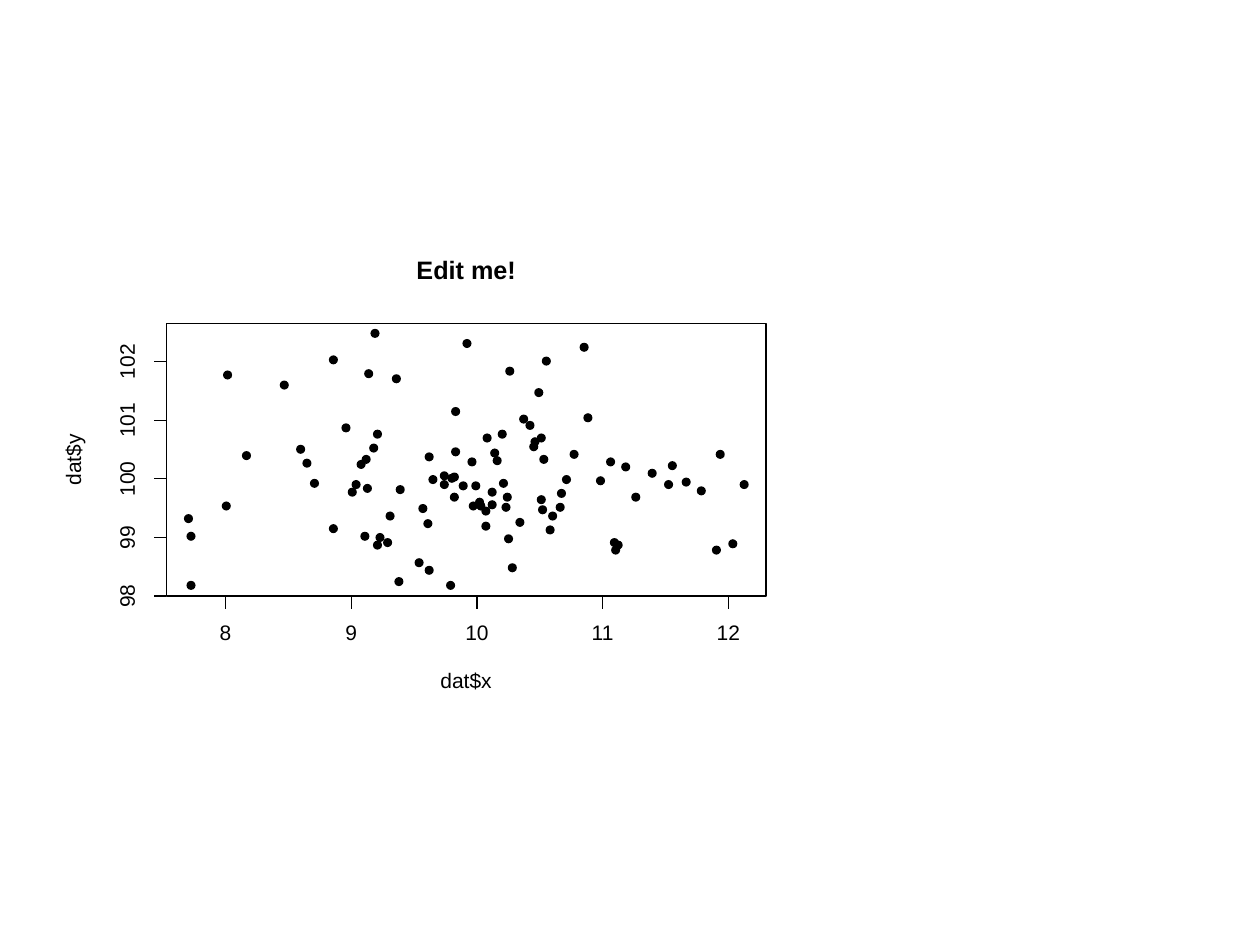
import pptx
import pptx.dml.color
import pptx.enum.shapes
import pptx.enum.text
import pptx.util
import pptx.oxml
from typing import NamedTuple

Pt = pptx.util.Pt
SHAPES = pptx.enum.shapes.MSO_SHAPE
BLACK, WHITE = "000000", "FFFFFF"

# Plot frame, ticks and dots, in points
LEFT, TOP, RIGHT, BOTTOM = 95.04, 185.04, 437.76, 340.56
MIDDLE_X, MIDDLE_Y = (LEFT + RIGHT) / 2, (TOP + BOTTOM) / 2
TICK = 7.2
X_START, X_STEP = 128.88, 71.82
Y_STEP = 33.48
X_LABELS = ["8", "9", "10", "11", "12"]
Y_LABELS = ["98", "99", "100", "101", "102"]
DOT_SIZE = 5.2
DOT_GRID = 0.72

# Left and top of every dot, in steps of DOT_GRID
DOTS = [
    (460, 272), (261, 416), (289, 293), (355, 376), (332, 400), (481, 363), (296, 429),
    (424, 308), (403, 447), (428, 361), (314, 385), (313, 458), (177, 294), (288, 384),
    (487, 429), (587, 381), (306, 406), (240, 364), (377, 395), (279, 381), (426, 393),
    (420, 351), (383, 344), (430, 283), (337, 359), (399, 391), (391, 362), (417, 334),
    (565, 433), (298, 423), (176, 398), (329, 443), (371, 363), (433, 417), (378, 398),
    (421, 347), (527, 381), (446, 377), (337, 449), (530, 366), (276, 387), (367, 269),
    (485, 433), (553, 386), (578, 428), (401, 291), (374, 382), (357, 375), (387, 397),
    (463, 328), (426, 344), (372, 398), (382, 402), (427, 401), (349, 374), (501, 391),
    (441, 399), (409, 411), (287, 361), (286, 422), (400, 424), (387, 387), (382, 414),
    (364, 382), (340, 377), (396, 380), (271, 336), (304, 427), (349, 381), (261, 282),
    (389, 356), (354, 461), (246, 380), (148, 461), (146, 408), (311, 297), (473, 378),
    (398, 399), (235, 353), (296, 341), (222, 302), (452, 357), (568, 357), (336, 412),
    (442, 388), (412, 329), (294, 261), (435, 406), (358, 323), (541, 379), (484, 427),
    (357, 391), (493, 367), (293, 352), (514, 372), (192, 358), (148, 422), (358, 355),
    (283, 365), (395, 341),
]


class Label(NamedTuple):
    text: str
    center_x: float
    center_y: float
    width: float
    height: float = 8.64
    rotation: int = 0
    size: float = 12
    bold: bool = False


class Segment(NamedTuple):
    x1: float
    y1: float
    x2: float
    y2: float


def color(value: str) -> pptx.dml.color.RGBColor:
    return pptx.dml.color.RGBColor.from_string(value)


def add_box(kind: SHAPES, left: float, top: float, width: float, height: float,
            fill: str | None, line: str | None) -> None:
    box = plot.shapes.add_shape(kind, Pt(left), Pt(top), Pt(width), Pt(height))
    box.shadow.inherit = False
    if fill:
        box.fill.solid()
        box.fill.fore_color.rgb = color(fill)
    else:
        box.fill.background()
    if line:
        box.line.color.rgb = color(line)
        box.line.width = Pt(0.75)
    else:
        box.line.fill.background()


def add_segment(segment: Segment) -> None:
    line = plot.shapes.add_connector(
        pptx.enum.shapes.MSO_CONNECTOR.STRAIGHT, *[Pt(value) for value in segment])
    line.line.color.rgb = color(BLACK)
    line.line.width = Pt(0.75)
    effects = pptx.oxml.parse_xml(
        '<a:effectLst xmlns:a="http://schemas.openxmlformats.org/drawingml/2006/main"/>')
    line._element.spPr.append(effects)


def add_label(label: Label) -> None:
    box = plot.shapes.add_textbox(
        Pt(label.center_x - label.width / 2), Pt(label.center_y - label.height / 2),
        Pt(label.width), Pt(label.height))
    box.rotation = label.rotation
    frame = box.text_frame
    frame.word_wrap = False
    frame.vertical_anchor = pptx.enum.text.MSO_ANCHOR.MIDDLE
    frame.margin_left = frame.margin_right = frame.margin_top = frame.margin_bottom = 0
    para = frame.paragraphs[0]
    para.text = label.text
    para.alignment = pptx.enum.text.PP_ALIGN.CENTER
    para.line_spacing = Pt(label.size)
    para.font.name = "Arial"
    para.font.size = Pt(label.size)
    para.font.bold = label.bold
    para.font.color.rgb = color(BLACK)


deck = pptx.Presentation()
deck.slide_width, deck.slide_height = Pt(720), Pt(540)
page = deck.slides.add_slide(deck.slide_layouts[6])
plot = page.shapes.add_group_shape()

# Panel and dots
add_box(SHAPES.RECTANGLE, 36, 126, 432, 288, WHITE, WHITE)
for left, top in DOTS:
    add_box(SHAPES.OVAL, left * DOT_GRID, top * DOT_GRID, DOT_SIZE, DOT_SIZE, BLACK, None)

# Horizontal axis
add_segment(Segment(X_START, BOTTOM, X_START + 4 * X_STEP, BOTTOM))
for index, text in enumerate(X_LABELS):
    x = X_START + index * X_STEP
    add_segment(Segment(x, BOTTOM, x, BOTTOM + TICK))
    add_label(Label(text, x, 362.16, 6.67 * len(text)))

# Vertical axis
add_segment(Segment(LEFT, BOTTOM, LEFT, BOTTOM - 4 * Y_STEP))
for index, text in enumerate(Y_LABELS):
    y = BOTTOM - index * Y_STEP
    add_segment(Segment(LEFT, y, LEFT - TICK, y))
    add_label(Label(text, 73.44, y, 6.67 * len(text), rotation=270))

# Frame and titles
add_box(SHAPES.RECTANGLE, LEFT, TOP, RIGHT - LEFT, BOTTOM - TOP, None, BLACK)
add_label(Label("Edit me!", MIDDLE_X, 155.52, 62, 10.08, size=14.4, bold=True))
add_label(Label("dat$x", MIDDLE_X, 389.88, 30, 10.8))
add_label(Label("dat$y", 42.84, MIDDLE_Y, 30, 12.24, rotation=270))

deck.save("out.pptx")
